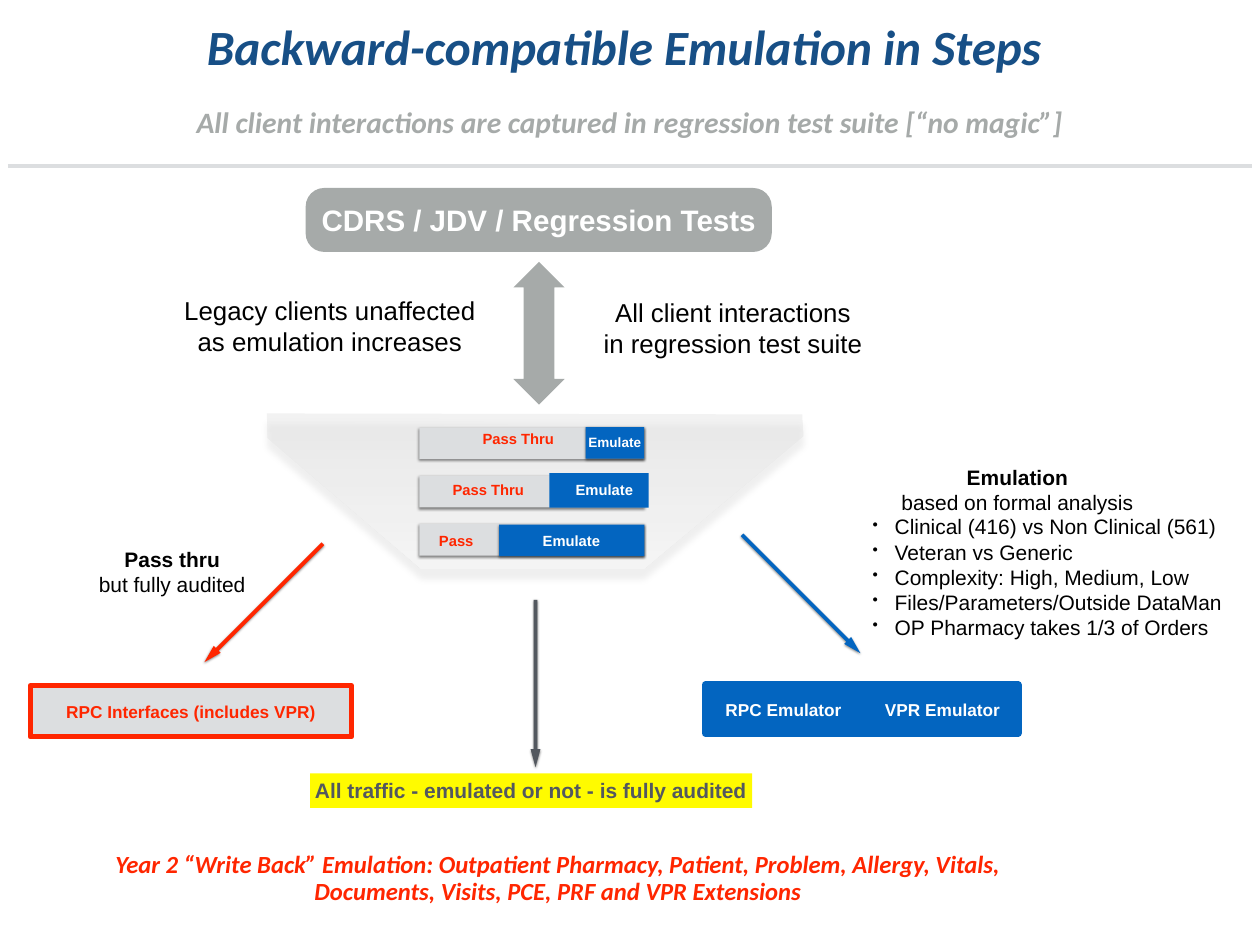
from dataclasses import dataclass
from typing import NamedTuple, Optional

from lxml import etree
from pptx import Presentation
from pptx import util as u
from pptx.dml import color
from pptx.enum import shapes, text
from pptx.oxml import ns

COLUMNS, ROWS = 128, 96  # square cells, nine to the inch
CELL = u.Inches(1) / 9
SHAPE = shapes.MSO_SHAPE
CENTER, LEFT = text.PP_ALIGN.CENTER, text.PP_ALIGN.LEFT


@dataclass(frozen=True)
class Theme:
    navy: str = "174F86"
    blue: str = "0365C0"
    red: str = "FF2600"
    gray: str = "A6AAA9"
    pale: str = "DCDEE0"
    slate: str = "53585F"
    yellow: str = "FFFB00"
    white: str = "FFFFFF"
    black: str = "000000"
    funnel: str = "DDDDDD"
    heading: str = "Calibri"
    body: str = "Arial"
    title: int = 40
    large: int = 24
    note: int = 21
    footer: int = 20
    detail: int = 17
    label: int = 14
    small: int = 12
    tiny: int = 11


THEME = Theme()


class Box(NamedTuple):
    left: float
    top: float
    width: float
    height: float


class Shadow(NamedTuple):
    opacity: int
    blur: float
    distance: float


class Style(NamedTuple):
    size: int
    color: str
    bold: bool = True
    font: str = THEME.body
    italic: bool = False


class Step(NamedTuple):
    passed: str
    passed_at: tuple[float, float]
    emulate: Box
    emulate_at: tuple[float, float]
    size: int
    shadow: Optional[Shadow]


class Arrow(NamedTuple):
    center: tuple[float, float]
    angle: float
    color: str


SOFT = Shadow(50, 2, 1)
BAR_WIDTH, BAR_HEIGHT = 22.86, 3.2
BAR_LEFT, BAR_TOP, BAR_PITCH = 42.6, 43.45, 4.9
STEPS = [
    Step("Pass Thru", (52.65, 44.55), Box(59.5, 43.4, 5.95, 3.2), (62.46, 44.95), THEME.tiny, SOFT),
    Step("Pass Thru", (49.6, 49.77), Box(55.8, 48.06, 10.1, 3.5), (61.4, 49.75), THEME.small, None),
    Step("Pass", (46.35, 54.9), Box(50.7, 53.3, 14.75, 3.2), (58.05, 54.9), THEME.small, SOFT),
]
ARROWS = [
    Arrow((26.78, 61.25), 135, THEME.red),
    Arrow((81.4, 60.35), 45, THEME.blue),
    Arrow((54.4, 69.44), 90, THEME.slate),
]
FUNNEL = [(27.1, 42), (81.5, 42.1), (81.6, 44.3), (65.4, 57.8), (42.8, 57.8), (27.2, 44.5)]
CRITERIA = [
    "Clinical (416) vs Non Clinical (561)",
    "Veteran vs Generic",
    "Complexity: High, Medium, Low",
    "Files/Parameters/Outside DataMan",
    "OP Pharmacy takes 1/3 of Orders",
]


def cells(count: float) -> u.Emu:
    return u.Emu(round(count * CELL))


def rgb(value: str) -> color.RGBColor:
    return color.RGBColor.from_string(value)


def place(shape, box: Box) -> None:
    shape.left, shape.top, shape.width, shape.height = map(cells, box)


def set_shadow(shape, shadow: Optional[Shadow]) -> None:
    shape.shadow.inherit = False
    if shadow:
        effects = shape._element.spPr.find(ns.qn("a:effectLst"))
        outer = etree.SubElement(effects, ns.qn("a:outerShdw"), blurRad=str(u.Pt(shadow.blur)),
                                 dist=str(u.Pt(shadow.distance)), dir="5400000", rotWithShape="0")
        tint = etree.SubElement(outer, ns.qn("a:srgbClr"), val=THEME.black)
        etree.SubElement(tint, ns.qn("a:alpha"), val=str(shadow.opacity * 1000))


def write(shape, lines: list[tuple[str, Style]], wrap: bool = False, inset: float = 0.06,
          spacing: float = 1.0, align=CENTER, bullets: bool = False) -> None:
    frame = shape.text_frame
    frame.word_wrap = wrap
    frame.auto_size = text.MSO_AUTO_SIZE.NONE
    frame.vertical_anchor = text.MSO_ANCHOR.MIDDLE
    frame.margin_left = frame.margin_right = u.Inches(inset)
    frame.margin_top = frame.margin_bottom = u.Inches(inset)
    for index, (words, style) in enumerate(lines):
        para = frame.add_paragraph() if index else frame.paragraphs[0]
        para.alignment, para.line_spacing = align, spacing
        if bullets:
            props = para._p.get_or_add_pPr()
            props.set("marL", str(u.Inches(0.25)))
            props.set("indent", str(-u.Inches(0.25)))
            etree.SubElement(props, ns.qn("a:buSzPct"), val="75000")
            etree.SubElement(props, ns.qn("a:buChar"), char="•")
        span = para.add_run()
        span.text = words
        font = span.font
        font.size, font.name = u.Pt(style.size), style.font
        font.bold, font.italic = style.bold, style.italic
        font.color.rgb = rgb(style.color)


def add_text(page, box: Box, lines: list[tuple[str, Style]], **options) -> None:
    write(page.shapes.add_textbox(*map(cells, box)), lines, **options)


def add_label(page, center: tuple[float, float], words: str, style: Style) -> None:
    width, height = 12.8, 3.6
    box = Box(center[0] - width / 2, center[1] - height / 2, width, height)
    add_text(page, box, [(words, style)])


def add_block(page, kind, box: Box, fill: str, shadow: Optional[Shadow] = None,
              border: Optional[str] = None, weight: float = 0):
    shape = page.shapes.add_shape(kind, *map(cells, box))
    shape.fill.solid()
    shape.fill.fore_color.rgb = rgb(fill)
    if border:
        shape.line.color.rgb = rgb(border)
        shape.line.width = u.Pt(weight)
    else:
        shape.line.fill.background()
    set_shadow(shape, shadow)
    return shape


def add_funnel(page) -> None:
    builder = page.shapes.build_freeform(*map(cells, FUNNEL[0]), scale=1.0)
    builder.add_line_segments([tuple(map(cells, point)) for point in FUNNEL[1:]], close=True)
    funnel = builder.convert_to_shape()
    funnel.fill.gradient()
    funnel.fill.gradient_angle = 270
    for stop, tone in zip(funnel.fill.gradient_stops, (THEME.funnel, THEME.white)):
        stop.color.rgb = rgb(tone)
    for tint in funnel._element.spPr.iter(ns.qn("a:srgbClr")):
        etree.SubElement(tint, ns.qn("a:alpha"), val="37000")
    funnel.line.fill.background()
    set_shadow(funnel, Shadow(17, 5, 8.6))


def add_header(page) -> None:
    title = page.shapes.title
    place(title, Box(11.1, 1.5, 104.6, 7))
    write(title, [("Backward-compatible Emulation in Steps",
                   Style(THEME.title, THEME.navy, font=THEME.heading, italic=True))],
          wrap=True, inset=0.07, spacing=0.9)
    add_text(page, Box(9.7, 10.1, 108.5, 4.5),
             [("All client interactions are captured in regression test suite [“no magic”]",
               Style(THEME.large, THEME.gray, font=THEME.heading, italic=True))], wrap=True)
    rule = page.shapes.add_connector(shapes.MSO_CONNECTOR.STRAIGHT,
                                     *map(cells, (0.8, 16.85, 127.2, 16.85)))
    rule.line.color.rgb = rgb(THEME.pale)
    rule.line.width = u.Pt(3)
    etree.SubElement(rule._element.spPr, ns.qn("a:effectLst"))


def add_steps(page) -> None:
    for index, step in enumerate(STEPS):
        bar = Box(BAR_LEFT, BAR_TOP + index * BAR_PITCH, BAR_WIDTH, BAR_HEIGHT)
        add_block(page, SHAPE.RECTANGLE, bar, THEME.pale, SOFT)
        add_block(page, SHAPE.RECTANGLE, step.emulate, THEME.blue, step.shadow)
        add_label(page, step.passed_at, step.passed, Style(THEME.small, THEME.red))
        add_label(page, step.emulate_at, "Emulate", Style(step.size, THEME.white))


def add_arrows(page) -> None:
    length, thickness = 17, 1
    for arrow in ARROWS:
        box = Box(arrow.center[0] - length / 2, arrow.center[1] - thickness / 2, length, thickness)
        shape = add_block(page, SHAPE.RIGHT_ARROW, box, arrow.color, SOFT)
        shape.adjustments[0], shape.adjustments[1] = 0.39, 1.83
        shape.rotation = arrow.angle
    both = add_block(page, SHAPE.UP_DOWN_ARROW, Box(52.16, 26.6, 5.2, 14.5), THEME.gray)
    both.adjustments[0], both.adjustments[1] = 0.58, 0.6


def add_endpoints(page) -> None:
    clients = add_block(page, SHAPE.ROUNDED_RECTANGLE, Box(31.05, 19.1, 47.35, 6.5), THEME.gray)
    clients.adjustments[0] = 0.29
    write(clients, [("CDRS / JDV / Regression Tests", Style(THEME.large, THEME.white))])
    interfaces = add_block(page, SHAPE.RECTANGLE, Box(3.06, 69.66, 32.67, 5.2), THEME.pale,
                           border=THEME.red, weight=4)
    write(interfaces, [("RPC Interfaces (includes VPR)", Style(THEME.label, THEME.red))])
    add_block(page, SHAPE.RECTANGLE, Box(71.64, 69.6, 31.8, 4.86), THEME.blue,
              border=THEME.blue, weight=6)
    for center, name in ((79.6, "RPC Emulator"), (95.75, "VPR Emulator")):
        add_label(page, (center, 72.05), name, Style(THEME.label, THEME.white))
    audit = add_block(page, SHAPE.RECTANGLE, Box(31.5, 78.57, 44.9, 3.5), THEME.yellow)
    write(audit, [("All traffic - emulated or not - is fully audited",
                   Style(THEME.detail, THEME.slate))])


def add_notes(page) -> None:
    note = Style(THEME.note, THEME.black, bold=False)
    strong, plain = Style(THEME.detail, THEME.black), Style(THEME.detail, THEME.black, bold=False)
    add_text(page, Box(17.1, 29.4, 32.8, 7.3),
             [("Legacy clients unaffected", note), ("as emulation increases", note)])
    add_text(page, Box(60.75, 29.6, 27.4, 7.3),
             [("All client interactions", note), ("in regression test suite", note)])
    add_text(page, Box(9.3, 55.1, 16.4, 6),
             [("Pass thru", strong), ("but fully audited", plain)])
    add_text(page, Box(90.9, 46.7, 24.9, 6),
             [("Emulation", strong), ("based on formal analysis", plain)])
    add_text(page, Box(88.1, 51.85, 39.8, 13.5), [(item, plain) for item in CRITERIA],
             wrap=True, align=LEFT, bullets=True)
    add_text(page, Box(11, 85.8, 91.35, 7),
             [("Year 2 “Write Back” Emulation: Outpatient Pharmacy, Patient, Problem, Allergy, "
               "Vitals, Documents, Visits, PCE, PRF and VPR Extensions",
               Style(THEME.footer, THEME.red, font=THEME.heading, italic=True))],
             wrap=True, inset=0.07, spacing=0.9)


def main() -> None:
    deck = Presentation()
    deck.slide_width, deck.slide_height = cells(COLUMNS), cells(ROWS)
    page = deck.slides.add_slide(deck.slide_layouts.get_by_name("Title Only"))
    for part in (add_header, add_funnel, add_steps, add_arrows, add_endpoints, add_notes):
        part(page)
    deck.save("out.pptx")


if __name__ == "__main__":
    main()
